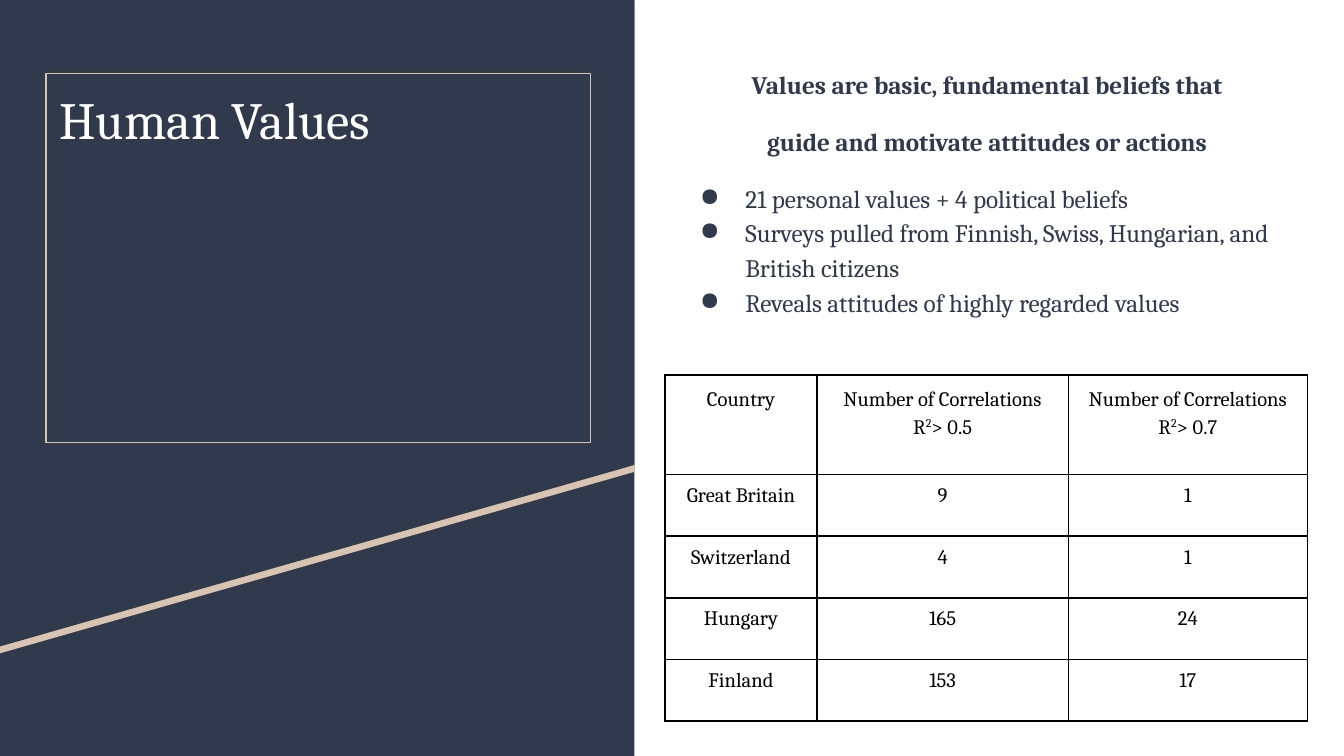
import dataclasses

import pptx
import pptx.dml.color
import pptx.enum.shapes
import pptx.enum.text
import pptx.oxml.ns
import pptx.oxml.xmlchemy
import pptx.util
from lxml import etree

Cm = pptx.util.Cm
Pt = pptx.util.Pt
ALIGN = pptx.enum.text.PP_ALIGN
ANCHOR = pptx.enum.text.MSO_ANCHOR


@dataclasses.dataclass(frozen=True)
class Theme:
    navy: str = "31394D"
    sand: str = "D9C4B1"
    white: str = "FFFFFF"
    black: str = "000000"
    font: str = "Cambria"
    title_size: float = 28
    body_size: float = 13.5
    table_size: float = 11


@dataclasses.dataclass(frozen=True)
class Box:
    left: float
    top: float
    width: float
    height: float

    def lengths(self):
        return [Cm(value) for value in dataclasses.astuple(self)]


THEME = Theme()

STATEMENT = ["Values are basic, fundamental beliefs that", "guide and motivate attitudes or actions"]
FACTS = [
    "21 personal values + 4 political beliefs",
    "Surveys pulled from Finnish, Swiss, Hungarian, and British citizens",
    "Reveals attitudes of highly regarded values",
]
# A "^" marks the next character as superscript
ROWS = [
    ["Country", "Number of Correlations R^2> 0.5", "Number of Correlations R^2> 0.7"],
    ["Great Britain", "9", "1"],
    ["Switzerland", "4", "1"],
    ["Hungary", "165", "24"],
    ["Finland", "153", "17"],
]


def rgb(color):
    return pptx.dml.color.RGBColor.from_string(color)


def add_element(parent, tag, **attributes):
    return etree.SubElement(parent, pptx.oxml.ns.qn(tag), **attributes)


def write(paragraph, text, *, size, color, bold=False, align=ALIGN.LEFT,
          line_spacing=1.0, space_before=0, superscript=False):
    paragraph.alignment = align
    paragraph.line_spacing = line_spacing
    paragraph.space_before = Pt(space_before)
    run = paragraph.add_run()
    run.text = text
    run.font.name = THEME.font
    run.font.size = Pt(size)
    run.font.bold = bold
    run.font.color.rgb = rgb(color)
    if superscript:
        run.font._element.set("baseline", "30000")


def set_bullet(paragraph):
    properties = paragraph._p.get_or_add_pPr()
    properties.set("marL", str(Cm(1.27)))
    properties.set("indent", str(Cm(-0.86)))
    color = add_element(properties, "a:buClr")
    add_element(color, "a:srgbClr", val=THEME.navy)
    add_element(properties, "a:buChar", char="●")


def set_frame(frame, anchor):
    frame.word_wrap = True
    frame.auto_size = pptx.enum.text.MSO_AUTO_SIZE.NONE
    frame.vertical_anchor = anchor
    frame.margin_left = frame.margin_right = Cm(0.25)
    frame.margin_top = frame.margin_bottom = Cm(0.25)


def paint(shape, color):
    shape.shadow.inherit = False
    shape.fill.solid()
    shape.fill.fore_color.rgb = rgb(color)
    shape.line.fill.background()


def add_panel(slide, box):
    """Dark panel crossed by a rising sand stripe."""
    paint(slide.shapes.add_shape(pptx.enum.shapes.MSO_SHAPE.RECTANGLE, *box.lengths()), THEME.navy)
    right = box.left + box.width
    for offset, color in ((0.13, THEME.sand), (0, THEME.navy)):
        top = box.top + offset
        corners = [(right, top), (right, top + 8.79), (box.left, top + 12.22)]
        builder = slide.shapes.build_freeform(Cm(box.left), Cm(top))
        builder.add_line_segments([(Cm(x), Cm(y)) for x, y in corners], close=True)
        paint(builder.convert_to_shape(), color)


def place_title(slide, box, text):
    title = slide.shapes.title
    title.left, title.top, title.width, title.height = box.lengths()
    title.line.color.rgb = rgb(THEME.sand)
    title.line.width = Pt(0.75)
    set_frame(title.text_frame, ANCHOR.TOP)
    write(title.text_frame.paragraphs[0], text, size=THEME.title_size, color=THEME.white)
    # Bring the title in front of the panel
    slide.shapes._spTree.append(title._element)


def add_body(slide, box):
    """Bold centred statement above a bulleted list."""
    frame = slide.shapes.add_textbox(*box.lengths()).text_frame
    set_frame(frame, ANCHOR.MIDDLE)
    for index, text in enumerate(STATEMENT + FACTS):
        paragraph = frame.add_paragraph() if index else frame.paragraphs[0]
        is_statement = index < len(STATEMENT)
        write(paragraph, text, size=THEME.body_size, color=THEME.navy, bold=is_statement,
              align=ALIGN.CENTER if is_statement else ALIGN.LEFT, line_spacing=1.15,
              space_before=12 if 0 < index <= len(STATEMENT) else 0)
        if not is_statement:
            set_bullet(paragraph)


def format_cell(cell, text, line_spacing):
    cell.margin_left = cell.margin_right = cell.margin_top = cell.margin_bottom = Cm(0.18)
    properties = cell._tc.get_or_add_tcPr()
    for side in ("a:lnL", "a:lnR", "a:lnT", "a:lnB"):
        line = add_element(properties, side, w=str(Pt(1)))
        add_element(add_element(line, "a:solidFill"), "a:srgbClr", val=THEME.black)
    cell.fill.solid()
    cell.fill.fore_color.rgb = rgb(THEME.white)
    base, _, raised = text.partition("^")
    for part, superscript in ((base, False), (raised[:1], True), (raised[1:], False)):
        if part:
            write(cell.text_frame.paragraphs[0], part, size=THEME.table_size, color=THEME.black,
                  align=ALIGN.CENTER, line_spacing=line_spacing, superscript=superscript)


def add_country_table(slide, box):
    table = slide.shapes.add_table(len(ROWS), len(ROWS[0]), *box.lengths()).table
    table.first_row = table.horz_banding = False
    for column, width in zip(table.columns, (2.87, 4.75, 4.52)):
        column.width = Cm(width)
    header_height = 1.88
    row_height = (box.height - header_height) / (len(ROWS) - 1)
    for index, values in enumerate(ROWS):
        table.rows[index].height = Cm(row_height if index else header_height)
        for column, text in enumerate(values):
            format_cell(table.cell(index, column), text, 1.0 if index else 1.15)


def main():
    presentation = pptx.Presentation()
    presentation.slide_width, presentation.slide_height = Cm(25.4), Cm(14.29)
    slide = presentation.slides.add_slide(presentation.slide_layouts[5])
    add_panel(slide, Box(0, 0, 11.99, 14.29))
    place_title(slide, Box(0.87, 1.39, 10.29, 6.97), "Human Values")
    add_body(slide, Box(12.57, 0.13, 12.17, 6.96))
    add_country_table(slide, Box(12.57, 7.09, 12.14, 6.54))
    presentation.save("out.pptx")


if __name__ == "__main__":
    main()
